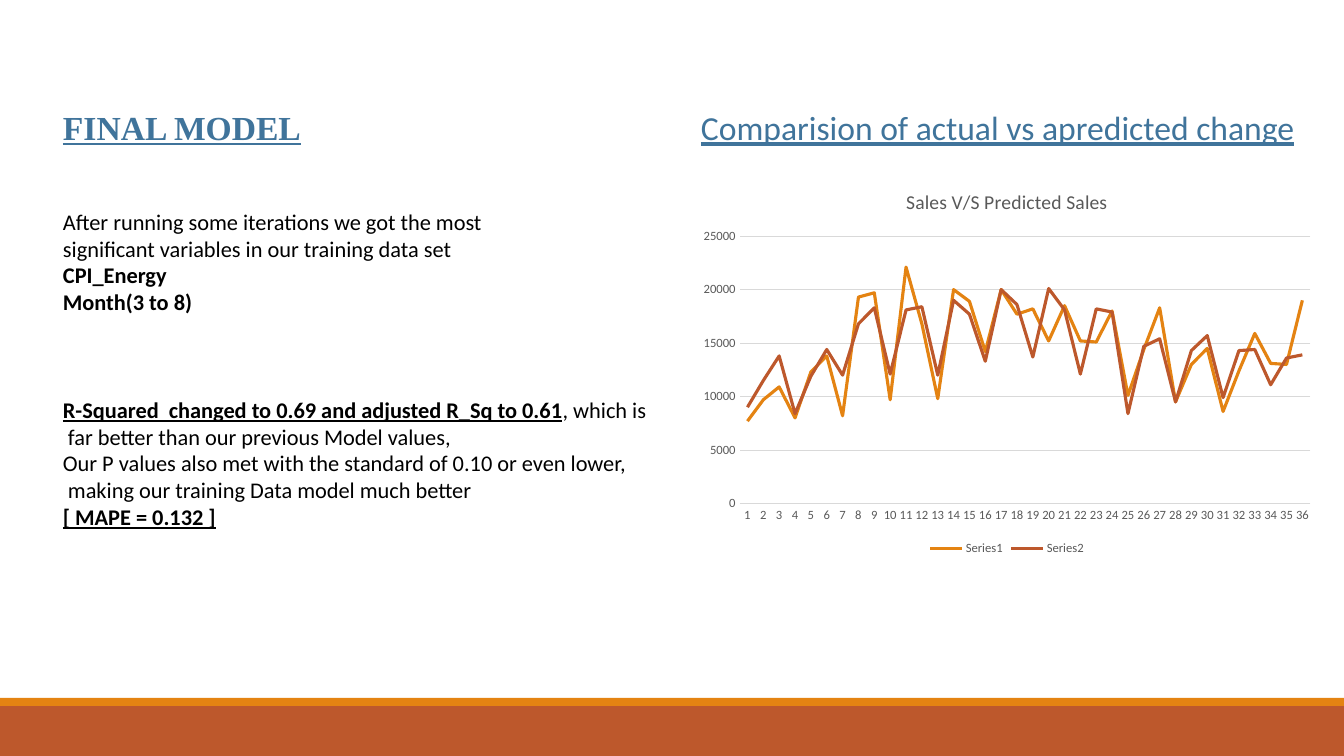
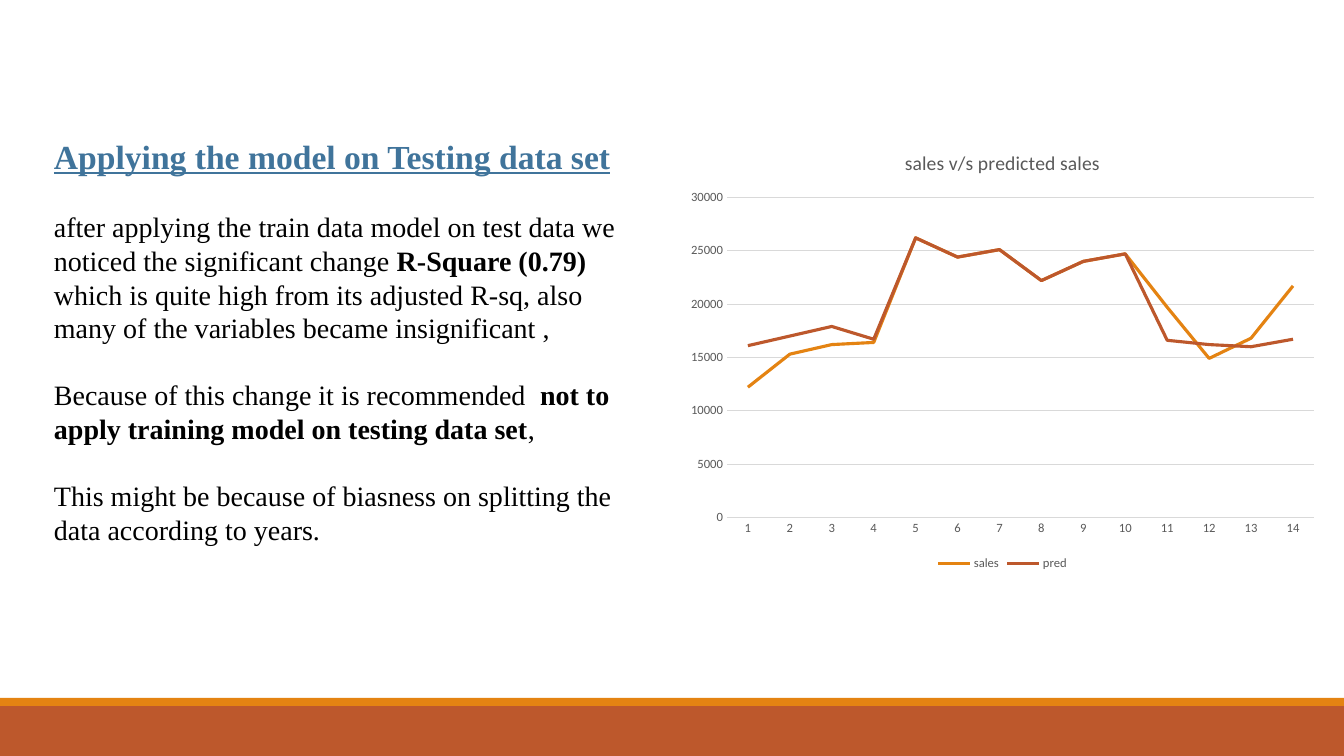
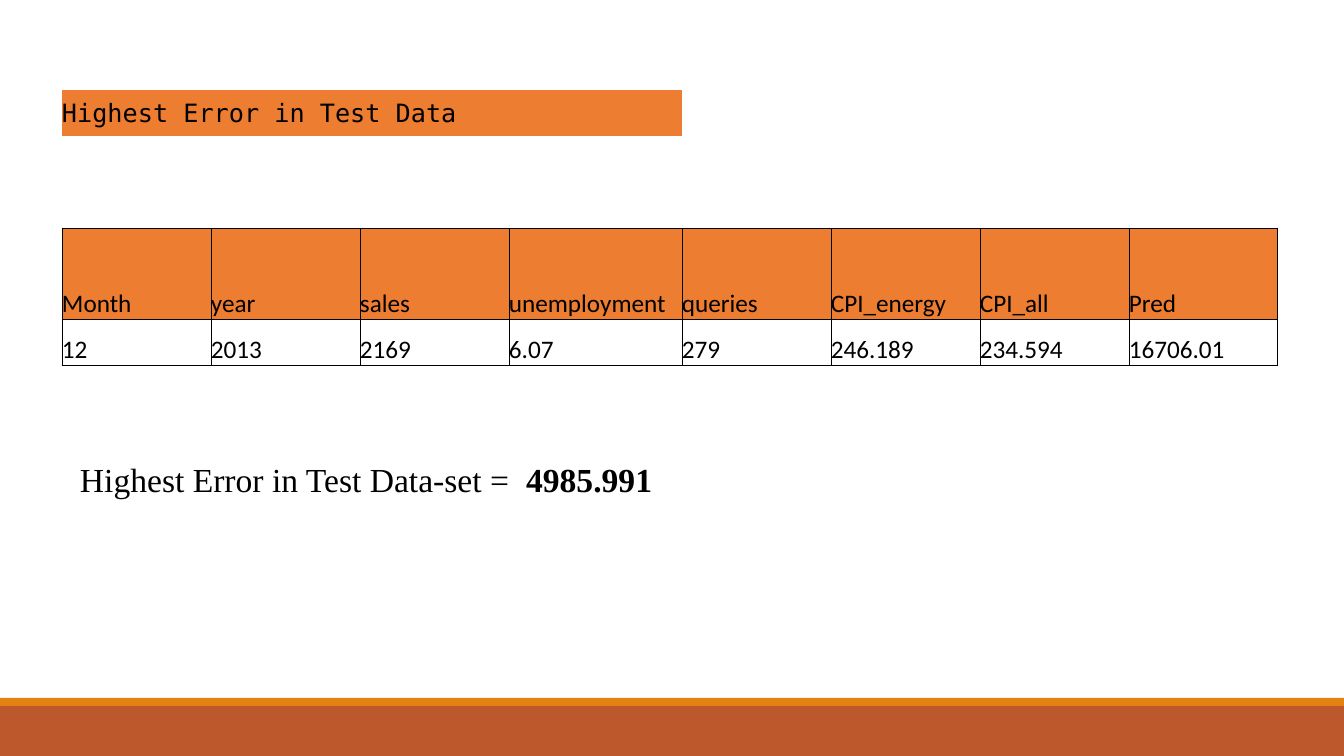
"""Build three slides on a sales model: final model, test run and highest error."""
import pptx
import pptx.chart.data
import pptx.dml.color
import pptx.enum.chart
import pptx.enum.shapes
import pptx.enum.text
import pptx.oxml
import pptx.oxml.ns
import pptx.util

RGB = pptx.dml.color.RGBColor.from_string
Pt = pptx.util.Pt
SCALE = 914400 / 100.8
LINE_PITCH = 1.2
SERIF, SANS, MONO = "Times New Roman", "Calibri", "DejaVu Sans Mono"
THEME = {
    "colours": {"band": "BD582C", "stripe": "E48312", "header": "ED7D31", "paper": "FFFFFF",
                "grid": "D9D9D9", "label": "595959", "ink": "000000", "heading": "40749B"},
    "text": {
        "heading": {"name": SERIF, "size": 24, "bold": True, "underline": True, "color": "heading"},
        "chart heading": {"name": SANS, "size": 24, "underline": True, "color": "heading"},
        "body": {"name": SANS, "size": 16},
        "strong": {"name": SANS, "size": 16, "bold": True},
        "result": {"name": SANS, "size": 16, "bold": True, "underline": True},
        "prose": {"name": SERIF, "size": 20},
        "prose strong": {"name": SERIF, "size": 20, "bold": True},
        "finding": {"name": SERIF, "size": 24},
        "finding strong": {"name": SERIF, "size": 24, "bold": True},
        "cell": {"name": SANS, "size": 18},
        "table title": {"name": MONO, "size": 18},
        "chart title": {"name": SANS, "size": 14, "bold": False, "color": "label"},
        "chart label": {"name": SANS, "size": 9, "color": "label"},
    },
}
COLOURS = {role: RGB(value) for role, value in THEME["colours"].items()}


def apply_style(font, style):
    """Set a font from a named theme style."""
    settings = {"color": "ink", **THEME["text"][style]}
    font.color.rgb = COLOURS[settings.pop("color")]
    settings["size"] = Pt(settings["size"])
    for attribute, value in settings.items():
        setattr(font, attribute, value)


def write(frame, paragraphs):
    """Fill a text frame with (space before, [(text, style), ...]) paragraphs."""
    for index, (gap, runs) in enumerate(paragraphs):
        paragraph = frame.add_paragraph() if index else frame.paragraphs[0]
        paragraph.space_before = Pt(gap)
        paragraph.line_spacing = Pt(LINE_PITCH * THEME["text"][runs[0][1]]["size"])
        for text, style in runs:
            run = paragraph.add_run()
            run.text = text
            apply_style(run.font, style)


deck = pptx.Presentation()
deck.slide_width, deck.slide_height = round(1344 * SCALE), round(756 * SCALE)
layout = deck.slide_layouts[6]
for placeholder in list(layout.placeholders):
    layout.shapes.element.remove(placeholder.element)
slides = [deck.slides.add_slide(layout) for _ in range(3)]
final_model, test_run, highest_error = slides

for role, top, height in [("band", 706, 50), ("stripe", 698, 8)]:
    band = final_model.shapes.add_shape(
        pptx.enum.shapes.MSO_SHAPE.RECTANGLE, 0, round(top * SCALE), deck.slide_width, round(height * SCALE))
    band.fill.solid()
    band.fill.fore_color.rgb = COLOURS[role]
    band.line.fill.background()
    band.shadow.inherit = False
    layout.shapes.element.append(band.element)

texts = [
    (final_model, (53, 102, 612, 468), [
        (0, [("FINAL MODEL", "heading")]),
        (43.2, [("After running some iterations we got the most", "body")]),
        (0, [("significant variables in our training data set", "body")]),
        (0, [("CPI_Energy", "strong")]),
        (0, [("Month(3 to 8)", "strong")]),
        (57.6, [("R-Squared  changed to 0.69 and adjusted R_Sq to 0.61", "result"), (", which is", "body")]),
        (0, [(" far better than our previous Model values,", "body")]),
        (0, [("Our P values also met with the standard of 0.10 or even lower,", "body")]),
        (0, [(" making our training Data model much better", "body")]),
        (0, [("[ MAPE = 0.132 ]", "result")]),
    ]),
    (final_model, (691, 102, 632, 50), [
        (0, [("Comparision of actual vs apredicted change", "chart heading")]),
    ]),
    (test_run, (44, 131, 605, 424), [
        (0, [("Applying the model on Testing data set", "heading")]),
        (24, [("after applying the train data model on test data we noticed the significant change ", "prose"),
              ("R-Square (0.79) ", "prose strong"),
              ("which is quite high from its adjusted R-sq, also many of the variables became insignificant ,",
               "prose")]),
        (24, [("Because of this change it is recommended  ", "prose"),
              ("not to apply training model on testing data set", "prose strong"), (",", "prose")]),
        (24, [("This might be because of biasness on splitting the data according to years.", "prose")]),
    ]),
    (highest_error, (70, 454, 603, 50), [
        (0, [("Highest Error in Test Data-set =  ", "finding"), ("4985.991", "finding strong")]),
    ]),
]
for slide, box, paragraphs in texts:
    frame = slide.shapes.add_textbox(*[round(length * SCALE) for length in box]).text_frame
    frame.word_wrap = True
    write(frame, paragraphs)

charts = [
    (final_model, (691, 172, 632, 388), "Sales V/S Predicted Sales", 25000, {
        "Series1": [7700, 9700, 10900, 8000, 12300, 13800, 8200, 19300, 19700, 9700, 22100, 16800,
                    9800, 20000, 18900, 14200, 20000, 17700, 18200, 15200, 18500, 15200, 15100, 18000,
                    10100, 14400, 18300, 9500, 13000, 14500, 8600, 12400, 15900, 13100, 13000, 19000],
        "Series2": [9000, 11500, 13800, 8400, 11900, 14400, 12000, 16800, 18300, 12100, 18100, 18400,
                    12000, 19000, 17700, 13300, 20000, 18600, 13700, 20100, 18100, 12100, 18200, 17900,
                    8400, 14700, 15400, 9500, 14300, 15700, 9900, 14300, 14400, 11100, 13600, 13900],
    }),
    (test_run, (678, 131, 649, 444), "sales v/s predicted sales", 30000, {
        "sales": [12200, 15300, 16200, 16400, 26200, 24400, 25100, 22200, 24000, 24700, 19700, 14900, 16800, 21700],
        "pred": [16100, 17000, 17900, 16700, 26200, 24400, 25100, 22200, 24000, 24700, 16600, 16200, 16000, 16700],
    }),
]
for slide, box, title, top_value, sales in charts:
    chart_data = pptx.chart.data.CategoryChartData()
    chart_data.categories = [str(number + 1) for number in range(len(next(iter(sales.values()))))]
    for name, values in sales.items():
        chart_data.add_series(name, values)
    chart = slide.shapes.add_chart(
        pptx.enum.chart.XL_CHART_TYPE.LINE, *[round(length * SCALE) for length in box], chart_data).chart
    apply_style(chart.font, "chart label")
    chart.has_title = True
    write(chart.chart_title.text_frame, [(0, [(title, "chart title")])])
    chart.chart_title.include_in_layout = False
    chart.has_legend = True
    chart.legend.position = pptx.enum.chart.XL_LEGEND_POSITION.BOTTOM
    chart.legend.include_in_layout = False
    apply_style(chart.legend.font, "chart label")
    for axis in (chart.category_axis, chart.value_axis):
        axis.major_tick_mark = axis.minor_tick_mark = pptx.enum.chart.XL_TICK_MARK.NONE
        apply_style(axis.tick_labels.font, "chart label")
    chart.value_axis.minimum_scale = 0
    chart.value_axis.maximum_scale = top_value
    chart.value_axis.major_unit = 5000
    chart.value_axis.format.line.fill.background()
    for rule in (chart.category_axis.format.line, chart.value_axis.major_gridlines.format.line):
        rule.color.rgb = COLOURS["grid"]
        rule.width = Pt(0.75)
    chart.plots[0].vary_by_categories = False
    for series, role in zip(chart.plots[0].series, ("stripe", "band")):
        series.smooth = False
        series.format.line.color.rgb = COLOURS[role]
        series.format.line.width = Pt(2.25)

column_widths = [149, 149, 149, 173, 149, 149, 149, 149]
row_heights = [46, 46, 46, 91, 46]
error_rows = {
    0: ["Highest Error in Test Data"],
    3: ["Month", "year", "sales", "unemployment", "queries", "CPI_energy", "CPI_all", "Pred"],
    4: ["12", "2013", "2169", "6.07", "279", "246.189", "234.594", "16706.01"],
}
error_frame = highest_error.shapes.add_table(
    len(row_heights), len(column_widths),
    *[round(length * SCALE) for length in (62, 90, sum(column_widths), sum(row_heights))])
error_frame.element.find(".//" + pptx.oxml.ns.qn("a:tableStyleId")).text = "{2D5ABB26-0587-4C30-8999-92F81FD0307C}"
errors = error_frame.table
errors.first_row = errors.horz_banding = False
for column, width in zip(errors.columns, column_widths):
    column.width = round(width * SCALE)
for row, height in zip(errors.rows, row_heights):
    row.height = round(height * SCALE)
errors.cell(0, 0).merge(errors.cell(0, 3))

cell_format = {"margin_left": 0, "margin_right": 0, "margin_top": 0, "margin_bottom": 0}
anchors = pptx.enum.text.MSO_ANCHOR
for row_index in range(len(row_heights)):
    for column_index in range(len(column_widths)):
        cell = errors.cell(row_index, column_index)
        cell.fill.background()
        words = error_rows.get(row_index, [])[column_index:column_index + 1]
        if not words:
            continue
        for attribute, value in cell_format.items():
            setattr(cell, attribute, value)
        cell.vertical_anchor = anchors.BOTTOM if row_index else anchors.MIDDLE
        write(cell.text_frame, [(0, [(words[0], "cell" if row_index else "table title")])])
        cell.fill.solid()
        cell.fill.fore_color.rgb = COLOURS["paper" if row_index == 4 else "header"]
        if row_index:
            for position, side in enumerate(("lnL", "lnR", "lnT", "lnB")):
                border = pptx.oxml.parse_xml(
                    f'<a:{side} {pptx.oxml.ns.nsdecls("a")} w="{Pt(0.5)}"><a:solidFill>'
                    f'<a:srgbClr val="{COLOURS["ink"]}"/></a:solidFill></a:{side}>')
                cell._tc.get_or_add_tcPr().insert(position, border)

deck.save("out.pptx")
